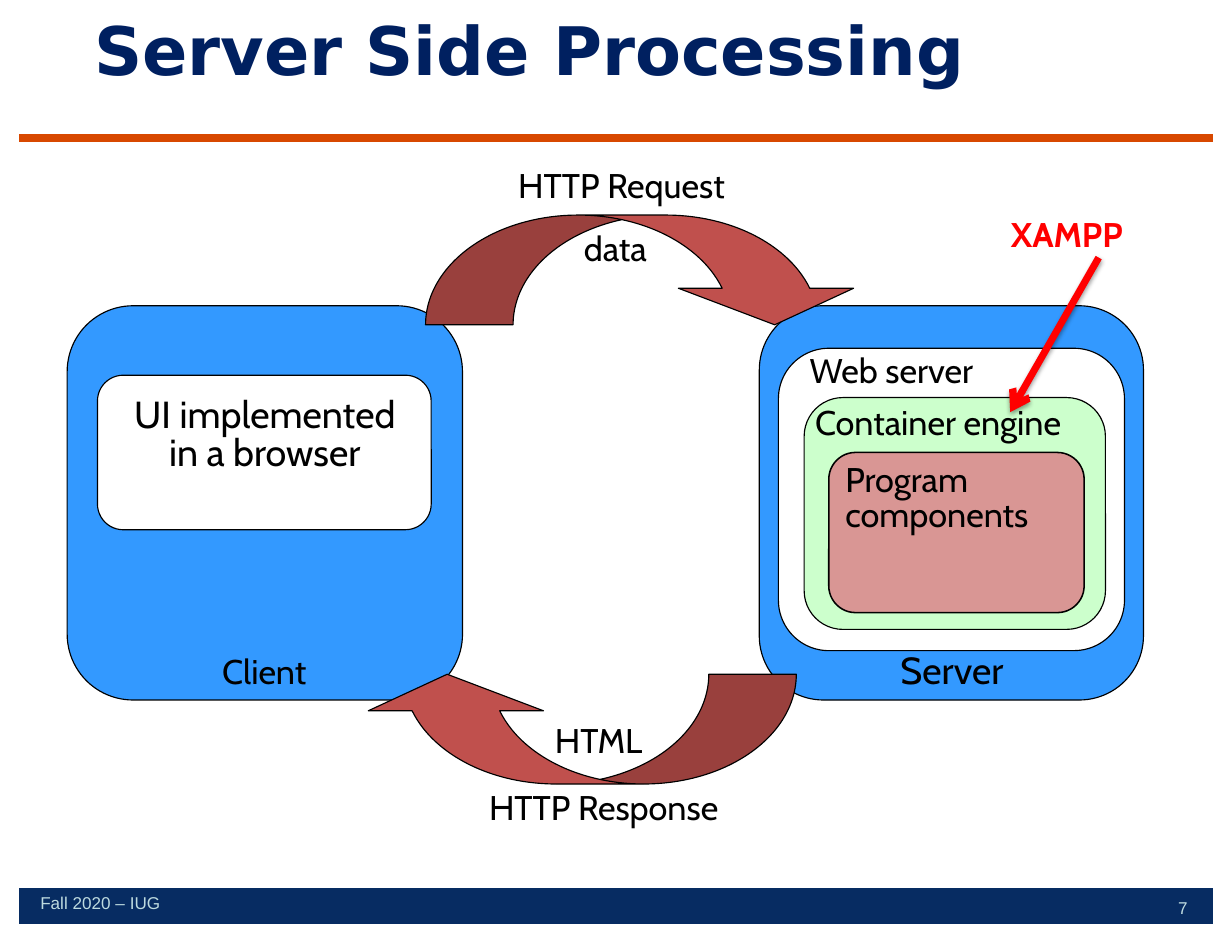
from lxml import etree
from pptx import Presentation
from pptx import util as u
from pptx.dml.color import RGBColor
from pptx.enum import shapes, text
from pptx.oxml import ns, parse_xml

NAVY = RGBColor(0x00, 0x20, 0x60)
BAR = RGBColor(0x07, 0x2C, 0x62)
ORANGE = RGBColor(0xD8, 0x48, 0x00)
BLUE = RGBColor(0x33, 0x99, 0xFF)
GREEN = RGBColor(0xCC, 0xFF, 0xCC)
PINK = RGBColor(0xD9, 0x96, 0x94)
BRICK = RGBColor(0xC0, 0x50, 0x4D)
RED = RGBColor(0xFF, 0x00, 0x00)
PALE = RGBColor(0xBD, 0xDA, 0xDF)
WHITE = RGBColor(0xFF, 0xFF, 0xFF)
BLACK = RGBColor(0x00, 0x00, 0x00)

KIND = shapes.MSO_SHAPE
LEFT, CENTER = text.PP_ALIGN.LEFT, text.PP_ALIGN.CENTER
SHADOW = (
    f'<a:effectLst {ns.nsdecls("a")}><a:outerShdw blurRad="39370" dist="20320" dir="5400000" '
    'rotWithShape="0"><a:srgbClr val="000000"><a:alpha val="38000"/></a:srgbClr>'
    '</a:outerShdw></a:effectLst>'
)


def write(tf, words, size=22, font="Cabin", color=BLACK, bold=False,
          align=CENTER, spacing=0.85, inset=(0.1, 0.05)):
    tf.word_wrap = True
    tf.auto_size = text.MSO_AUTO_SIZE.NONE
    tf.vertical_anchor = text.MSO_ANCHOR.TOP
    tf.margin_left = tf.margin_right = u.Inches(inset[0])
    tf.margin_top = tf.margin_bottom = u.Inches(inset[1])
    p = tf.paragraphs[0]
    p.alignment = align
    p.line_spacing = spacing
    p.space_before = u.Pt(0)
    r = p.add_run()
    r.text = words
    r.font.size = u.Pt(size)
    r.font.name = font
    r.font.bold = bold
    r.font.color.rgb = color


class Diagram:
    def __init__(self, prs):
        self.s = prs.slides.add_slide(prs.slide_layouts[5])

    def title(self, words, x, y, w, h):
        sp = self.s.shapes.title
        sp.left, sp.top, sp.width, sp.height = map(u.Inches, (x, y, w, h))
        write(sp.text_frame, words, size=43, font="DejaVu Sans", color=NAVY,
              bold=True, spacing=1.0, inset=(0, 0))

    def shape(self, kind, x, y, w, h, fill, line=0.75, adj=()):
        sp = self.s.shapes.add_shape(kind, *map(u.Inches, (x, y, w, h)))
        sp.shadow.inherit = False
        sp.fill.solid()
        sp.fill.fore_color.rgb = fill
        if line:
            sp.line.color.rgb = BLACK
            sp.line.width = u.Pt(line)
        else:
            sp.line.fill.background()
        for i, value in enumerate(adj):
            sp.adjustments[i] = value
        return sp

    def box(self, x, y, w, h, fill, line=0.75):
        self.shape(KIND.ROUNDED_RECTANGLE, x, y, w, h, fill, line, [0.167])

    def curve(self, x, y, rotation=0):
        sp = self.shape(KIND.CURVED_DOWN_ARROW, x, y, 3.9, 0.98, BRICK,
                        adj=(0.798, 1.597, 0.333))
        sp.rotation = rotation

    def label(self, words, x, y, w, h=0.42, **style):
        sp = self.s.shapes.add_textbox(*map(u.Inches, (x, y, w, h)))
        write(sp.text_frame, words, **style)

    def footer(self, words, x, y, w):
        self.label(words, x, y, w, 0.2, size=11, font="Arial", color=PALE,
                   align=LEFT, spacing=u.Pt(13.2), inset=(0, 0))

    def line(self, x1, y1, x2, y2, color, width, arrow=False):
        c = self.s.shapes.add_connector(shapes.MSO_CONNECTOR.STRAIGHT,
                                        *map(u.Inches, (x1, y1, x2, y2)))
        c.line.color.rgb = color
        c.line.width = u.Pt(width)
        if arrow:
            ln = c.line._get_or_add_ln()
            etree.SubElement(ln, ns.qn("a:tailEnd"), type="arrow")
        spPr = c._element.spPr
        if arrow:
            spPr.append(parse_xml(SHADOW))
        else:
            etree.SubElement(spPr, ns.qn("a:effectLst"))


def main():
    prs = Presentation()
    prs.slide_width, prs.slide_height = u.Inches(11), u.Inches(8.5)
    d = Diagram(prs)

    d.shape(KIND.RECTANGLE, 0.17, 7.93, 10.66, 0.32, BAR, line=0)
    d.line(0.17, 1.23, 10.83, 1.23, ORANGE, 5)
    d.title("Server Side Processing", 0.53, 0.08, 8.39, 1.45)

    d.box(6.78, 2.73, 3.43, 3.52, BLUE)
    d.label("Server", 7.82, 5.79, 1.36, 0.45, size=24.2)

    d.box(0.6, 2.73, 3.53, 3.52, BLUE)
    d.label("Client", 1.66, 5.81, 1.4)
    d.box(0.87, 3.35, 2.98, 1.38, WHITE)
    d.label("UI implemented in a browser", 0.96, 3.5, 2.81, 0.79, size=24.2)

    d.box(6.95, 3.11, 3.09, 2.7, WHITE)
    d.label("Web server", 7.13, 3.13, 2.22, align=LEFT)
    d.box(7.18, 3.55, 2.69, 2.07, GREEN)
    d.label("Container engine", 7.18, 3.59, 3.08, align=LEFT)
    d.box(7.4, 4.04, 2.28, 1.43, PINK, line=1)
    d.label("Program components", 7.45, 4.1, 2.27, 0.73, align=LEFT)

    d.curve(3.8, 1.92)
    d.label("data", 5.02, 2.04, 0.95)
    d.label("HTTP Request", 3.58, 1.47, 3.94)

    d.label("XAMPP", 8.14, 1.91, 2.77, color=RED, bold=True)
    d.line(9.81, 2.3, 9.02, 3.68, RED, 4.5, arrow=True)

    d.curve(3.21, 6.02, rotation=180)
    d.label("HTTP Response", 3.33, 7.03, 4.12)
    d.label("HTML", 4.61, 6.43, 1.47)

    d.footer("Fall 2020 – IUG", 0.36, 7.97, 2.34)
    d.footer("7", 10.52, 8.01, 0.14)

    prs.save("out.pptx")


if __name__ == "__main__":
    main()
